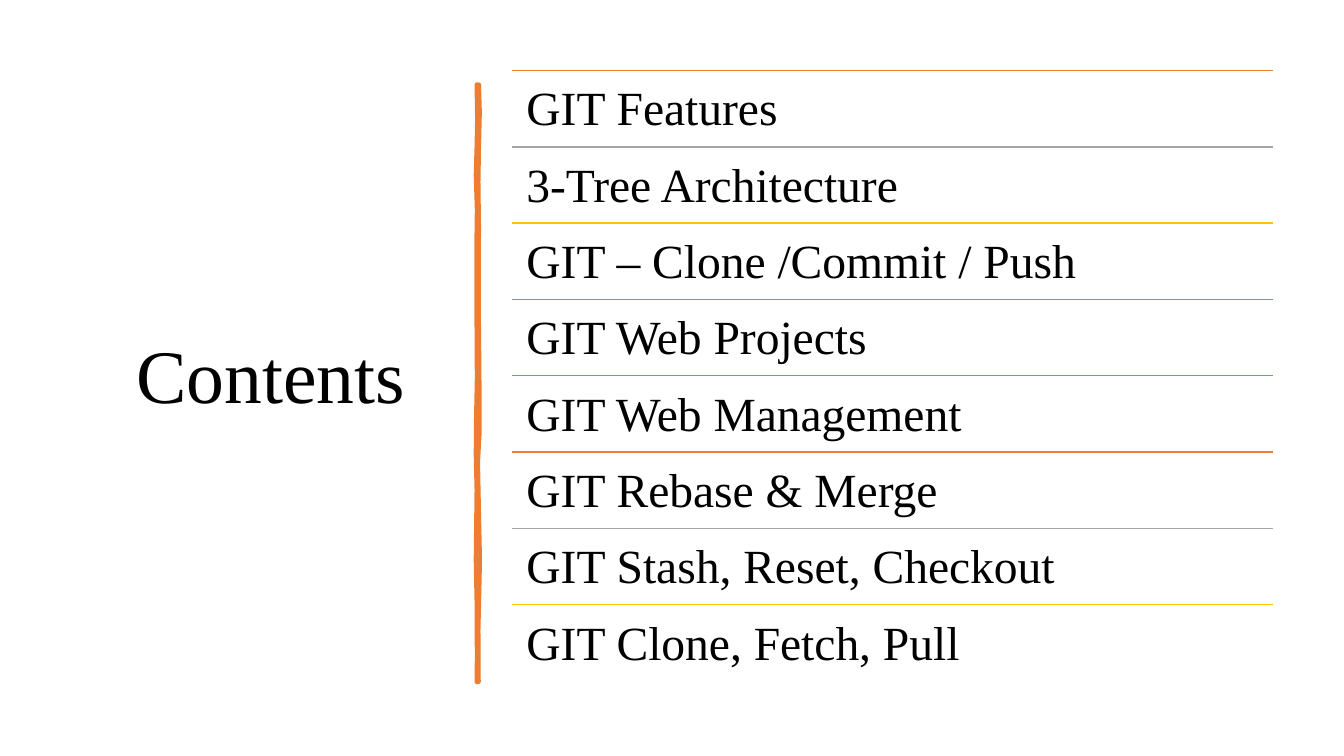
from dataclasses import dataclass

from lxml.etree import SubElement
from pptx import Presentation
from pptx.dml.color import RGBColor
from pptx.enum.shapes import MSO_CONNECTOR
from pptx.enum.text import MSO_ANCHOR, MSO_AUTO_SIZE, PP_ALIGN
from pptx.oxml.ns import qn
from pptx.slide import Slide
from pptx.text.text import TextFrame
from pptx.util import Pt

FONT = "Times New Roman"
BLACK = "000000"
ORANGE, GRAY, GOLD, BLUE, GREEN = "ED7D31", "A5A5A5", "FFC000", "5B9BD5", "70AD47"

LIST_LEFT, LIST_TOP, LIST_WIDTH, ROW_HEIGHT = 365.8, 50.4, 543.6, 54.5

# Edges of the hand-drawn divider as (x, y), from top to bottom
RIGHT_EDGE = [
    (342, 60.5), (342.6, 80), (342, 105), (341.6, 130), (342, 163),
    (341.8, 212), (342.2, 256), (342.5, 290), (342.4, 310), (341.3, 330),
    (342, 367), (342.7, 400), (342.3, 420), (341.6, 450), (341.8, 487),
]
LEFT_EDGE = [
    (340.6, 60.5), (341, 85), (340.6, 105), (340, 125), (340.8, 150),
    (340.4, 180), (340.6, 240), (340.8, 270), (340.2, 300), (340, 325),
    (340.6, 350), (340, 400), (340.6, 430), (340.8, 470), (340.6, 487),
]


@dataclass
class Topic:
    text: str
    rule_color: str


TOPICS = [
    Topic("GIT Features", ORANGE),
    Topic("3-Tree Architecture", GRAY),
    Topic("GIT – Clone /Commit / Push", GOLD),
    Topic("GIT Web Projects", BLUE),
    Topic("GIT Web Management", GREEN),
    Topic("GIT Rebase & Merge", ORANGE),
    Topic("GIT Stash, Reset, Checkout", GRAY),
    Topic("GIT Clone, Fetch, Pull", GOLD),
]


def color(hex_value: str) -> RGBColor:
    return RGBColor.from_string(hex_value)


def write_text(frame: TextFrame, text: str, size: float, frame_format: dict) -> None:
    for name, value in frame_format.items():
        setattr(frame, name, value)
    para = frame.paragraphs[0]
    para.alignment = PP_ALIGN.LEFT
    para.line_spacing = 0.9
    span = para.add_run()
    span.text = text
    for name, value in {"name": FONT, "size": Pt(size), "bold": False}.items():
        setattr(span.font, name, value)
    span.font.color.rgb = color(BLACK)


def place_title(page: Slide) -> None:
    title = page.shapes.title
    bounds = {"left": 49.7, "top": 50.4, "width": 269.3, "height": 439.9}
    for name, value in bounds.items():
        setattr(title, name, Pt(value))
    write_text(title.text_frame, "Contents", 54, {
        "auto_size": MSO_AUTO_SIZE.NONE,
        "vertical_anchor": MSO_ANCHOR.MIDDLE,
        "word_wrap": True,
        "margin_left": Pt(47.7),
    })


def draw_divider(page: Slide) -> None:
    first, *others = RIGHT_EDGE + LEFT_EDGE[::-1]
    units = 100  # drawing units per point
    builder = page.shapes.build_freeform(
        round(first[0] * units), round(first[1] * units), scale=Pt(1) / units)
    builder.add_line_segments(
        [(round(x * units), round(y * units)) for x, y in others], close=True)
    divider = builder.convert_to_shape()
    divider.shadow.inherit = False
    divider.fill.solid()
    divider.fill.fore_color.rgb = color(ORANGE)
    divider.line.color.rgb = color(ORANGE)
    divider.line.width = Pt(3.25)
    SubElement(divider.element.spPr.find(qn("a:ln")), qn("a:round"))


def draw_topic(page: Slide, topic: Topic, top: float) -> None:
    rule = page.shapes.add_connector(
        MSO_CONNECTOR.STRAIGHT,
        Pt(LIST_LEFT), Pt(top), Pt(LIST_LEFT + LIST_WIDTH), Pt(top))
    rule.line.color.rgb = color(topic.rule_color)
    rule.line.width = Pt(1)
    SubElement(rule.element.spPr, qn("a:effectLst"))

    box = page.shapes.add_textbox(
        Pt(LIST_LEFT), Pt(top), Pt(LIST_WIDTH), Pt(ROW_HEIGHT))
    margins = {f"margin_{side}": Pt(10.2) for side in ("left", "top", "right", "bottom")}
    write_text(box.text_frame, topic.text, 34, {
        "word_wrap": True, "vertical_anchor": MSO_ANCHOR.TOP, **margins})


def main() -> None:
    deck = Presentation()
    deck.slide_width, deck.slide_height = Pt(960), Pt(540)
    page = deck.slides.add_slide(deck.slide_layouts[5])

    # Left side: title and divider
    place_title(page)
    draw_divider(page)

    # Right side: ruled list of topics
    for row, topic in enumerate(TOPICS):
        draw_topic(page, topic, LIST_TOP + row * ROW_HEIGHT)

    deck.save("out.pptx")


if __name__ == "__main__":
    main()
